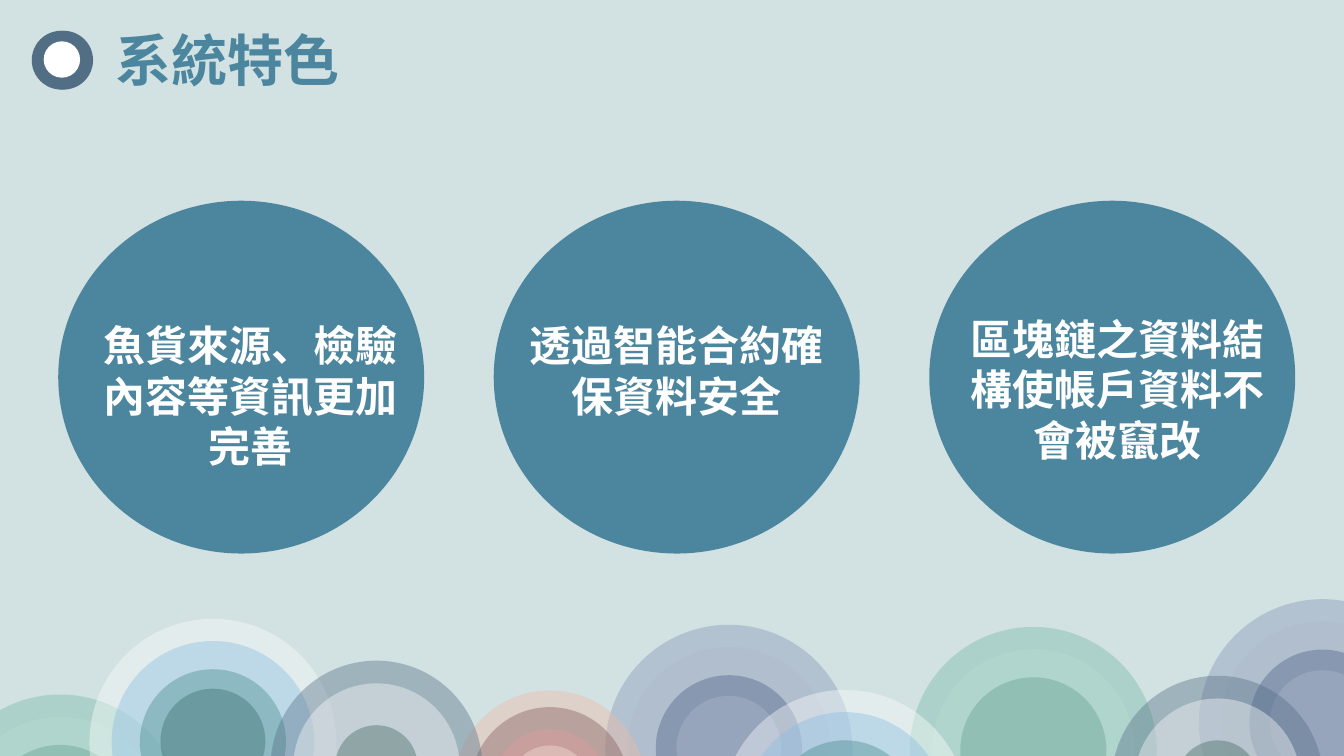
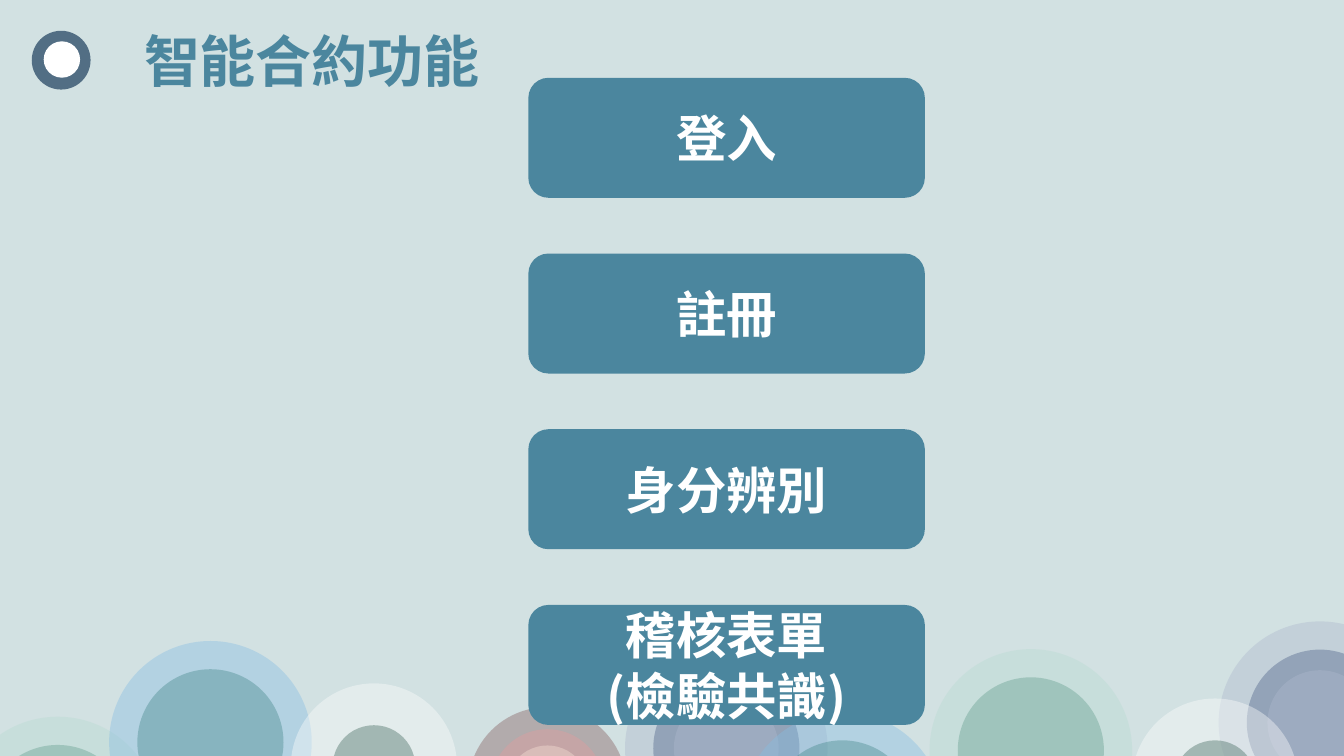
from lxml import etree
from pptx import Presentation
from pptx import util as u
from pptx.dml.color import RGBColor
from pptx.enum import shapes, text
from pptx.oxml.ns import qn

Pt = u.Pt
SHAPE = shapes.MSO_SHAPE
FONT = "Noto Sans CJK SC"
COLORS = {
    "bg": "D2E1E2", "main": "4B869E", "badge": "526E84", "white": "FFFFFF",
    "mint": "73B9A6", "pale_mint": "B7DBD2", "sage": "649F8E",
    "lilac": "8294B5", "pale_lilac": "ADB8CD", "navy": "4C6187",
    "snow": "FEFEFE", "sky": "86BDE2", "teal": "45898B", "deep_teal": "386D70",
    "peach": "F0B9A4", "plum": "825A5C", "rose": "E39C9F", "cream": "F7E1D7",
    "slate": "536E85", "mist": "FDFDFD", "moss": "42695E",
}

# Concentric rings, outermost first: diameter and colour
RINGS = {
    "green": [(176.4, "mint"), (144.7, "pale_mint"), (104.4, "sage")],
    "indigo": [(176.4, "lilac"), (144.7, "pale_lilac"), (104.4, "navy"),
               (74.9, "pale_lilac")],
    "blue": [(176.4, "snow"), (144.7, "sky"), (104.4, "teal")],
    "core": [(74.9, "deep_teal")],
    "red": [(136.8, "peach"), (113, "plum"), (81.4, "rose"), (58.3, "cream")],
    "gray": [(151.2, "slate"), (118.8, "mist"), (59, "moss")],
}
# Ring sets along the bottom edge, back to front: kind and centre
BUBBLES = [
    ("green", 43, 584.3), ("indigo", 944.6, 516.2), ("blue", 152.1, 530.2),
    ("core", 152.1, 529.4), ("indigo", 520.6, 534.5), ("green", 738.1, 536),
    ("blue", 603.5, 581), ("red", 392.8, 561.6), ("gray", 869.7, 558.3),
    ("gray", 268.9, 547.5),
]


def add_shape(s, kind, x, y, w, h, color, alpha=None):
    sp = s.shapes.add_shape(kind, Pt(x), Pt(y), Pt(w), Pt(h))
    sp.shadow.inherit = False
    sp.fill.solid()
    sp.fill.fore_color.rgb = RGBColor.from_string(COLORS[color])
    sp.line.fill.background()
    if alpha:
        clr = sp.fill._xPr.find(".//" + qn("a:srgbClr"))
        etree.SubElement(clr, qn("a:alpha")).set("val", str(alpha * 1000))
    return sp


def add_disc(s, cx, cy, d, color, alpha=None):
    return add_shape(s, SHAPE.OVAL, cx - d / 2, cy - d / 2, d, d, color, alpha)


def write(tf, lines, size, color, align=text.PP_ALIGN.CENTER):
    tf.word_wrap = True
    tf.text = lines
    for p in tf.paragraphs:
        p.alignment = align
        for r in p.runs:
            r.font.size = Pt(size)
            r.font.bold = True
            r.font.color.rgb = RGBColor.from_string(COLORS[color])
            r.font.name = FONT
            etree.SubElement(r.font._element, qn("a:ea")).set("typeface", FONT)


def add_text(s, x, y, w, h, lines, size, color, align=text.PP_ALIGN.CENTER):
    tf = s.shapes.add_textbox(Pt(x), Pt(y), Pt(w), Pt(h)).text_frame
    write(tf, lines, size, color, align)
    tf.auto_size = text.MSO_AUTO_SIZE.SHAPE_TO_FIT_TEXT


def add_bubbles(s, shift=0, first_ring=0):
    for kind, cx, cy in BUBBLES:
        for d, color in RINGS[kind][first_ring:]:
            add_disc(s, cx + shift, cy, d, color, alpha=40)


def add_badge(s, x, y):
    add_disc(s, x + 21, y + 21, 42, "badge")
    add_disc(s, x + 21.5, y + 20.5, 26, "white")


def add_title(s, x, y, title):
    add_text(s, x, y, 257, 55.4, title, 40, "main", text.PP_ALIGN.LEFT)


def new_slide(prs):
    s = prs.slides.add_slide(prs.slide_layouts[6])
    s.background.fill.solid()
    s.background.fill.fore_color.rgb = RGBColor.from_string(COLORS["bg"])
    return s


def add_feature(s, x, y, dx, dy, h, label):
    """A disc with its label, set off from the disc's corner."""
    add_shape(s, SHAPE.OVAL, x, y, 261.4, 252, "main")
    add_text(s, x + dx, y + dy, 228.2, h, label, 30, "white")


def features_slide(prs):
    s = new_slide(prs)
    add_bubbles(s)
    # Title with a doubled badge
    add_badge(s, 24.5, 22)
    add_title(s, 75.6, 14.4, "系統特色")
    add_badge(s, 22.7, 22)
    # Three features
    features = [
        (23, 81.4, 116.6, "魚貨來源、檢驗內容等資訊更加完善"),
        (16.6, 81.4, 151.2, "透過智能合約確保資料安全"),
        (20.2, 77, 116.6, "區塊鏈之資料結構使帳戶資料不會被竄改"),
    ]
    for i, (dx, dy, h, label) in enumerate(features):
        add_feature(s, 41.6 + i * 311.1, 143.4, dx, dy, h, label)


def functions_slide(prs):
    s = new_slide(prs)
    add_bubbles(s, shift=-1.8, first_ring=1)
    # Title
    add_title(s, 95.8, 15.1, "智能合約功能")
    add_badge(s, 22.7, 22)
    # Column of functions
    for i, label in enumerate(["登入", "註冊", "身分辨別", "稽核表單\n(檢驗共識)"]):
        sp = add_shape(s, SHAPE.ROUNDED_RECTANGLE, 377.4, 55.6 + i * 125.5,
                       283.2, 85.7, "main")
        sp.text_frame.vertical_anchor = text.MSO_ANCHOR.MIDDLE
        write(sp.text_frame, label, 36, "white")


def main():
    prs = Presentation()
    prs.slide_width, prs.slide_height = Pt(960), Pt(540)
    features_slide(prs)
    functions_slide(prs)
    prs.save("out.pptx")


if __name__ == "__main__":
    main()
